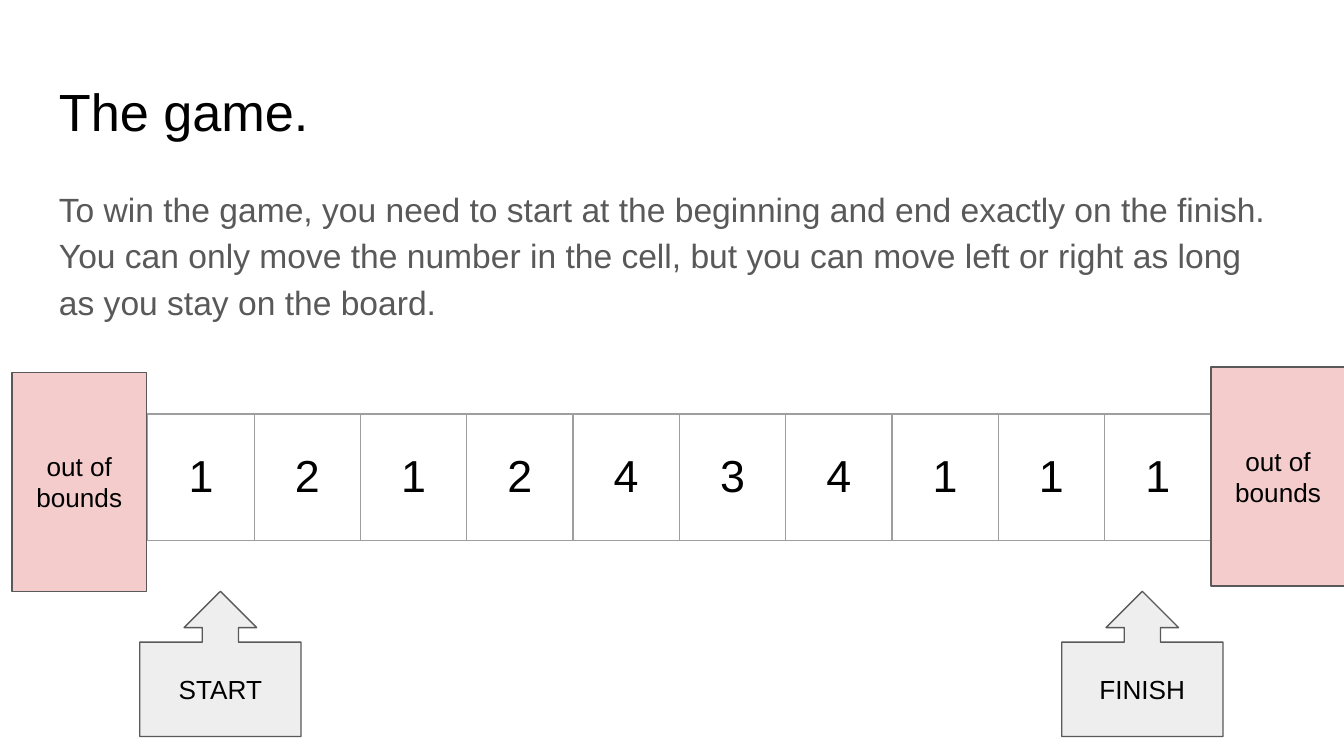
from lxml import etree
from pptx import Presentation
from pptx.dml.color import RGBColor
from pptx.enum.shapes import MSO_SHAPE
from pptx.enum.text import MSO_ANCHOR, PP_ALIGN
from pptx.oxml.ns import qn
from pptx.util import Inches, Pt

CENTER, LEFT = PP_ALIGN.CENTER, PP_ALIGN.LEFT
MIDDLE, TOP = MSO_ANCHOR.MIDDLE, MSO_ANCHOR.TOP
RECTANGLE, UP_CALLOUT = MSO_SHAPE.RECTANGLE, MSO_SHAPE.UP_ARROW_CALLOUT

# Widescreen page, 16:9
PAGE_WIDTH = Inches(10)
PAGE_HEIGHT = PAGE_WIDTH * 9 // 16

COLORS = {
    "ink": "000000",
    "body": "595959",
    "outline": "595959",
    "grid": "9E9E9E",
    "callout": "EEEEEE",
    "bounds": "F4CCCC",
}
FONT = "Arial"
MARGIN = Inches(0.1)
CELL_MARGINS = {f"margin_{side}": MARGIN for side in ("left", "right", "top", "bottom")}
FRAME_FORMAT = {**CELL_MARGINS, "word_wrap": True}

RULES = (
    "To win the game, you need to start at the beginning and end exactly on the finish. "
    "You can only move the number in the cell, but you can move left or right as long "
    "as you stay on the board."
)
MOVES = [1, 2, 1, 2, 4, 3, 4, 1, 1, 1]


def rgb(name):
    return RGBColor.from_string(COLORS[name])


def apply_format(target, values):
    for attribute, value in values.items():
        setattr(target, attribute, value)


def write_text(frame, text, size, color="ink", align=CENTER, **spacing):
    paragraph = frame.paragraphs[0]
    apply_format(paragraph, {"alignment": align, **spacing})
    run = paragraph.add_run()
    run.text = text
    apply_format(run.font, {"name": FONT, "size": Pt(size)})
    run.font.color.rgb = rgb(color)


def add_copy(slide, box, text, size, color, **spacing):
    """Left-aligned text in a box of its own."""
    frame = slide.shapes.add_textbox(*map(Inches, box)).text_frame
    apply_format(frame, {**FRAME_FORMAT, "vertical_anchor": TOP})
    write_text(frame, text, size, color, LEFT, **spacing)


def add_marker(slide, kind, box, label, fill):
    """Outlined shape with a centred label."""
    marker = slide.shapes.add_shape(kind, *map(Inches, box))
    marker.shadow.inherit = False
    marker.fill.solid()
    marker.fill.fore_color.rgb = rgb(fill)
    marker.line.color.rgb = rgb("outline")
    marker.line.width = Pt(0.75)
    apply_format(marker.text_frame, {**FRAME_FORMAT, "vertical_anchor": MIDDLE})
    write_text(marker.text_frame, label, 14)
    return marker


def add_callout(slide, box, label):
    callout = add_marker(slide, UP_CALLOUT, box, label, "callout")
    for index, value in enumerate((0.25, 0.25, 0.25, 0.65)):
        callout.adjustments[index] = value


def set_borders(cell):
    properties = cell._tc.get_or_add_tcPr()
    # Borders must come before the fill
    for position, side in enumerate(("lnL", "lnR", "lnT", "lnB")):
        border = etree.Element(qn(f"a:{side}"), w=str(Pt(0.75)))
        fill = etree.SubElement(border, qn("a:solidFill"))
        etree.SubElement(fill, qn("a:srgbClr"), val=COLORS["grid"])
        properties.insert(position, border)


def add_board(slide, box, moves):
    """One row of cells, each holding the length of its move."""
    left, top, width, height = map(Inches, box)
    board = slide.shapes.add_table(1, len(moves), left, top, width, height).table
    apply_format(board, {"first_row": False, "horz_banding": False})
    for column, move in enumerate(moves):
        board.columns[column].width = width // len(moves)
        cell = board.cell(0, column)
        cell.fill.background()
        apply_format(cell, {**CELL_MARGINS, "vertical_anchor": MIDDLE})
        write_text(cell.text_frame, str(move), 24)
        set_borders(cell)


def build_slide(presentation):
    slide = presentation.slides.add_slide(presentation.slide_layouts[6])

    # Title and rules
    add_copy(slide, (0.34, 0.49, 9.32, 0.63), "The game.", 28, "ink")
    add_copy(slide, (0.34, 1.26, 9.32, 1.43), RULES, 18, "body",
             line_spacing=1.15, space_after=Pt(16))

    # Board
    add_board(slide, (1.1, 3.08, 7.91, 0.94), MOVES)

    # Start and finish callouts
    for left, label in ((1.04, "START"), (7.9, "FINISH")):
        add_callout(slide, (left, 4.4, 1.2, 1.08), label)

    # Areas beyond both ends of the board
    for left, top in ((0.09, 2.77), (9.01, 2.73)):
        add_marker(slide, RECTANGLE, (left, top, 1, 1.63), "out of bounds", "bounds")


def main():
    presentation = Presentation()
    apply_format(presentation, {"slide_width": PAGE_WIDTH, "slide_height": PAGE_HEIGHT})
    build_slide(presentation)
    presentation.save("out.pptx")


if __name__ == "__main__":
    main()
